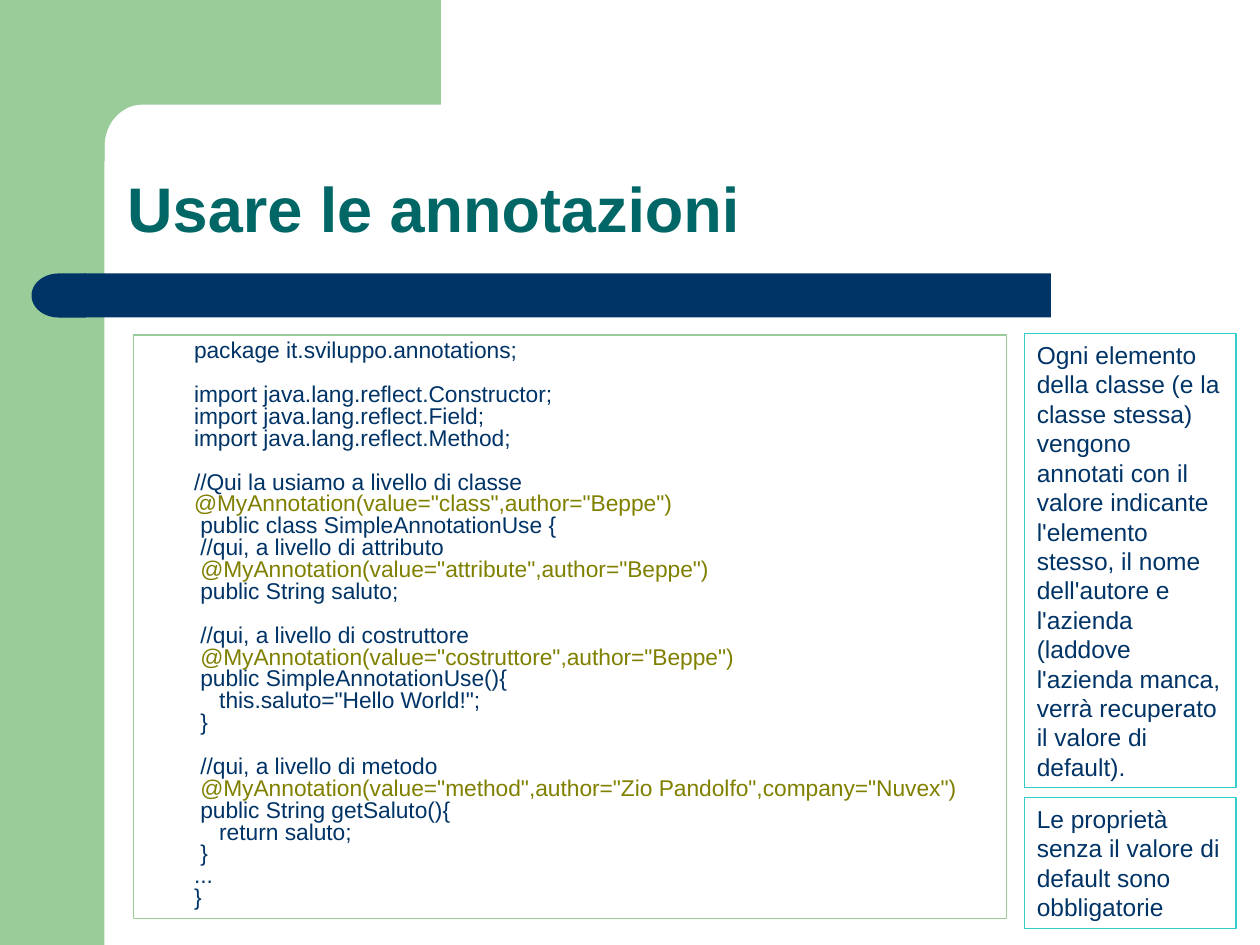
from math import cos, pi, sin

from lxml import etree
from pptx import Presentation
from pptx.dml.color import RGBColor
from pptx.enum.shapes import MSO_SHAPE
from pptx.enum.text import MSO_ANCHOR, MSO_AUTO_SIZE, PP_ALIGN
from pptx.oxml.ns import qn
from pptx.util import Inches, Pt

RECTANGLE = MSO_SHAPE.RECTANGLE
DELAY = MSO_SHAPE.FLOWCHART_DELAY
LEFT = PP_ALIGN.LEFT
TOP, BOTTOM = MSO_ANCHOR.TOP, MSO_ANCHOR.BOTTOM
FIXED = MSO_AUTO_SIZE.NONE

GREEN, NAVY, TEAL, OLIVE, CYAN = "99CC99", "003366", "006666", "808000", "33CCCC"
CODE_MARGIN, CODE_STEP, CODE_PITCH = 0.38, 0.05, 12.5

# Each group is set apart by one line; each line is (indent steps, text).
CODE_GROUPS = [
    [(0, "package it.sviluppo.annotations;")],
    [(0, "import java.lang.reflect.Constructor;"),
     (0, "import java.lang.reflect.Field;"),
     (0, "import java.lang.reflect.Method;")],
    [(0, "//Qui la usiamo a livello di classe"),
     (0, '@MyAnnotation(value="class",author="Beppe")'),
     (1, "public class SimpleAnnotationUse {"),
     (1, "//qui, a livello di attributo"),
     (1, '@MyAnnotation(value="attribute",author="Beppe")'),
     (1, "public String saluto;")],
    [(1, "//qui, a livello di costruttore"),
     (1, '@MyAnnotation(value="costruttore",author="Beppe")'),
     (1, "public SimpleAnnotationUse(){"),
     (4, 'this.saluto="Hello World!";'),
     (1, "}")],
    [(1, "//qui, a livello di metodo"),
     (1, '@MyAnnotation(value="method",author="Zio Pandolfo",company="Nuvex")'),
     (1, "public String getSaluto(){"),
     (4, "return saluto;"),
     (1, "}"),
     (0, "..."),
     (0, "}")],
]

NOTES = [
    (2.65, 3.6, "Ogni elemento della classe (e la classe stessa) vengono annotati "
     "con il valore indicante l'elemento stesso, il nome dell'autore e l'azienda "
     "(laddove l'azienda manca, verrà recuperato il valore di default)."),
    (6.33, 1.04, "Le proprietà senza il valore di default sono obbligatorie"),
]


def color(value):
    """Turn a hex string into a colour."""
    return RGBColor.from_string(value)


def apply(target, values):
    """Set attributes from a dict of format values."""
    for name, value in values.items():
        setattr(target, name, value)


def place(shape, left, top, width, height):
    """Move and size a shape, in inches."""
    apply(shape, {"left": Inches(left), "top": Inches(top),
                  "width": Inches(width), "height": Inches(height)})


def prepare_frame(shape, anchor=TOP):
    """Set wrapping, insets and anchor of a shape's text."""
    frame = shape.text_frame
    apply(frame, {"word_wrap": True, "auto_size": FIXED, "vertical_anchor": anchor,
                  "margin_left": Inches(0.1), "margin_right": Inches(0.1),
                  "margin_top": Inches(0.05), "margin_bottom": Inches(0.05)})
    return frame


def write(para, text, size, ink, spacing, before=0, bold=False):
    """Fill a paragraph with one formatted span."""
    apply(para, {"alignment": LEFT, "line_spacing": spacing,
                 "space_before": Pt(before), "space_after": Pt(0)})
    span = para.add_run()
    span.text = text
    apply(span.font, {"name": "Arial", "size": Pt(size), "bold": bold})
    span.font.color.rgb = color(ink)


def outline(shape, ink):
    """Give a shape a thin line and no fill."""
    shape.fill.background()
    shape.line.color.rgb = color(ink)
    shape.line.width = Pt(0.74)


def paint(shape, ink):
    """Give a shape a flat fill without line or shadow."""
    shape.shadow.inherit = False
    shape.fill.solid()
    shape.fill.fore_color.rgb = color(ink)
    shape.line.fill.background()


def add_block(page, kind, box, ink):
    """Add a flat preset shape."""
    shape = page.shapes.add_shape(kind, *map(Inches, box))
    paint(shape, ink)
    return shape


def add_corner(page):
    """Add the green top band with its rounded inner corner."""
    angles = [step * pi / 24 for step in range(13)]
    curve = [(1.13 - 0.3 * sin(angle), 1.16 - 0.33 * cos(angle)) for angle in angles]
    points = [(3.5, 0.83)] + curve + [(0.83, 1.28), (0.5, 1.28), (0.5, 0)]
    builder = page.shapes.build_freeform(Inches(3.5), 0)
    builder.add_line_segments([(Inches(x), Inches(y)) for x, y in points])
    paint(builder.convert_to_shape(), GREEN)


def add_decoration(page):
    """Add the green frame and the navy bar."""
    add_block(page, RECTANGLE, (0, 0, 0.83, 7.5), GREEN)
    add_corner(page)
    add_block(page, RECTANGLE, (0.67, 2.17, 7.67, 0.35), NAVY)
    add_block(page, DELAY, (0.25, 2.17, 0.43, 0.35), NAVY).rotation = 180


def fill_title(title):
    """Place and write the title."""
    place(title, 0.91, 0.91, 8.51, 1.09)
    frame = prepare_frame(title, BOTTOM)
    write(frame.paragraphs[0], "Usare le annotazioni", 36, TEAL, 0.9, bold=True)


def set_indent(para, inches):
    """Indent a whole paragraph and switch its bullet off."""
    properties = para._p.get_or_add_pPr()
    properties.set("marL", str(Inches(inches)))
    properties.set("indent", "0")
    etree.SubElement(properties, qn("a:buNone"))


def fill_code(body):
    """Place the body and write the code listing, one paragraph a line."""
    place(body, 1.06, 2.66, 6.93, 4.63)
    outline(body, GREEN)
    frame = prepare_frame(body)
    para = frame.paragraphs[0]
    for group_index, group in enumerate(CODE_GROUPS):
        for line_index, (steps, text) in enumerate(group):
            if group_index or line_index:
                para = frame.add_paragraph()
            before = CODE_PITCH if group_index and not line_index else 0
            ink = OLIVE if text.startswith("@") else NAVY
            write(para, text, 13, ink, Pt(CODE_PITCH), before)
            set_indent(para, CODE_MARGIN + steps * CODE_STEP)


def add_note(page, top, height, text):
    """Add one bordered note in the right column."""
    box = page.shapes.add_textbox(Inches(8.13), Inches(top), Inches(1.68), Inches(height))
    outline(box, CYAN)
    write(prepare_frame(box).paragraphs[0], text, 14, NAVY, Pt(16.8))


def main():
    """Build and save the slide."""
    deck = Presentation()
    apply(deck, {"slide_width": Inches(10), "slide_height": Inches(7.5)})
    page = deck.slides.add_slide(deck.slide_layouts[1])
    add_decoration(page)
    fill_title(page.shapes.title)
    fill_code(page.placeholders[1])
    for top, height, text in NOTES:
        add_note(page, top, height, text)
    deck.save("out.pptx")


main()
